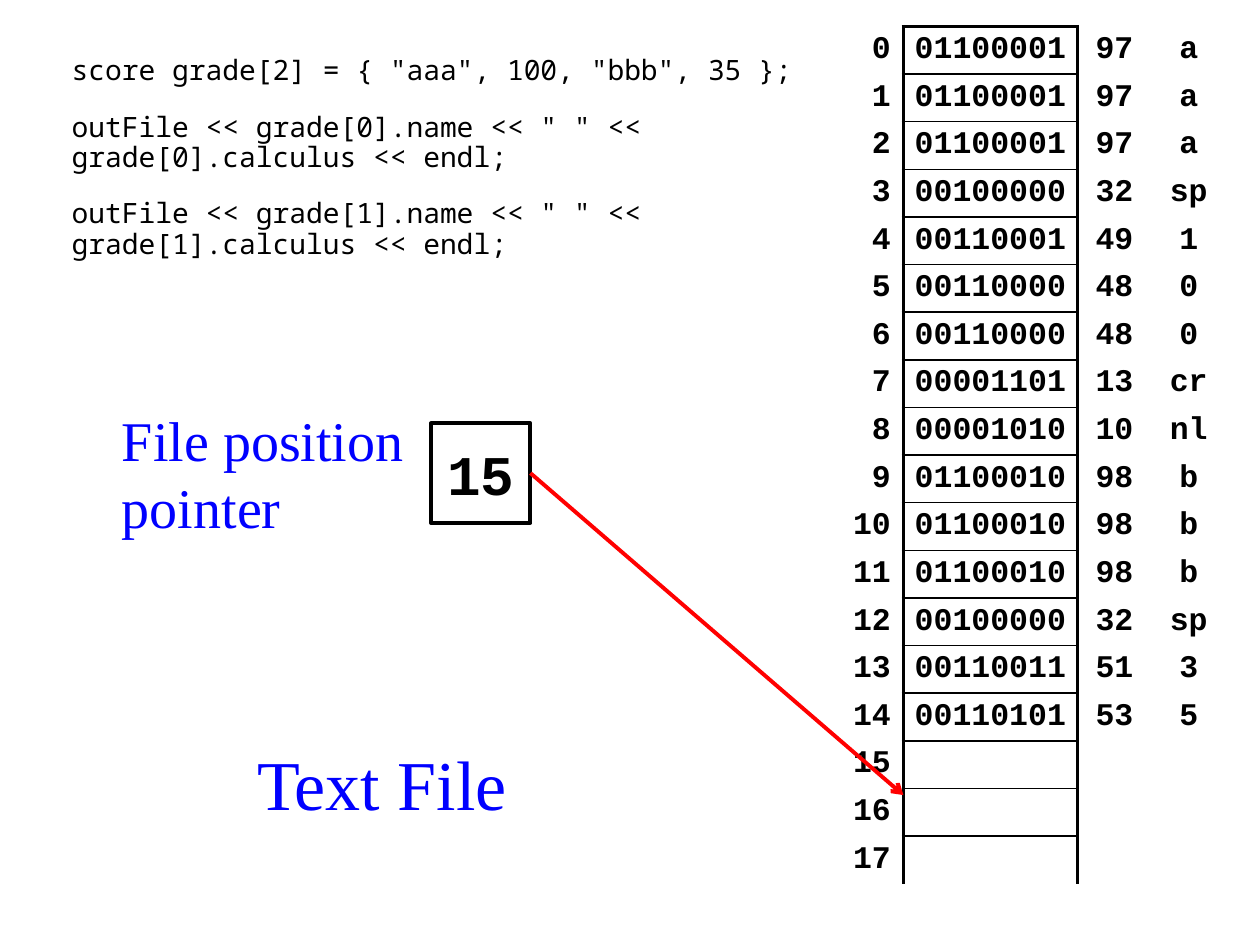
from lxml.etree import SubElement
from pptx import Presentation
from pptx.dml.color import RGBColor
from pptx.enum.shapes import MSO_CONNECTOR, MSO_SHAPE
from pptx.enum.text import MSO_ANCHOR, PP_ALIGN
from pptx.oxml.ns import qn
from pptx.util import Inches, Pt


class Theme:
    ink = RGBColor(0x00, 0x00, 0x00)
    accent = RGBColor(0x00, 0x00, 0xFF)
    arrow = RGBColor(0xFF, 0x00, 0x00)
    serif, mono, code = "Times New Roman", "Courier New", "Noto Sans Mono"
    title_size, label_size, cell_size, code_size = 40, 32, 18, 16
    thick, thin = 2.25, 1


# Content
TITLE = "Text File"
CODE = [
    'score grade[2] = { "aaa", 100, "bbb", 35 };',
    'outFile << grade[0].name << " " << grade[0].calculus << endl;',
    'outFile << grade[1].name << " " << grade[1].calculus << endl;',
]
POINTER_LABEL = ["File position", "pointer"]
POSITION = "15"
BYTES = [
    (97, "a"), (97, "a"), (97, "a"), (32, "sp"), (49, "1"),
    (48, "0"), (48, "0"), (13, "cr"), (10, "nl"), (98, "b"),
    (98, "b"), (98, "b"), (32, "sp"), (51, "3"), (53, "5"),
]
ROW_COUNT = 18
COL_WIDTHS = [0.59, 1.38, 0.59, 0.59]
TABLE_LEFT, TABLE_TOP, TABLE_HEIGHT = 6.58, 0.21, 6.81


def add_text(p, text, size, font, color, bold=False, align=PP_ALIGN.LEFT):
    p.alignment = align
    r = p.add_run()
    r.text = text
    r.font.size, r.font.name, r.font.bold = Pt(size), font, bold
    r.font.color.rgb = color


def paragraphs(tf, lines):
    """Yield each line with its paragraph, reusing the frame's first one."""
    for i, line in enumerate(lines):
        yield (tf.add_paragraph() if i else tf.paragraphs[0]), line


def set_borders(cell, widths):
    tc_pr = cell._tc.get_or_add_tcPr()
    for side in "LRTB":
        width = widths.get(side, 0)
        ln = SubElement(tc_pr, qn(f"a:ln{side}"), w=str(Pt(width)))
        if width:
            fill = SubElement(ln, qn("a:solidFill"))
            SubElement(fill, qn("a:srgbClr"), val=str(Theme.ink))
        else:
            SubElement(ln, qn("a:noFill"))


def cell_borders(row, col):
    if col == 0:
        return {"R": Theme.thick}
    if col == 2:
        return {"L": Theme.thick}
    if col == 3:
        return {}
    return {
        "L": Theme.thick,
        "R": Theme.thick,
        "T": Theme.thin if row else Theme.thick,
        "B": Theme.thin if row < ROW_COUNT - 1 else 0,
    }


def add_memory_table(slide):
    table = slide.shapes.add_table(
        ROW_COUNT, len(COL_WIDTHS), Inches(TABLE_LEFT), Inches(TABLE_TOP),
        Inches(sum(COL_WIDTHS)), Inches(TABLE_HEIGHT)).table
    table.first_row = table.horz_banding = False
    for column, width in zip(table.columns, COL_WIDTHS):
        column.width = Inches(width)
    for i, row in enumerate(table.rows):
        row.height = Inches(TABLE_HEIGHT / ROW_COUNT)
        values = [str(i)]
        if i < len(BYTES):
            number, char = BYTES[i]
            values += [f"{number:08b}", str(number), char]
        for j, cell in enumerate(row.cells):
            cell.vertical_anchor = MSO_ANCHOR.MIDDLE
            cell.margin_left = cell.margin_right = Inches(0.08 if j == 1 else 0.1)
            cell.margin_top = cell.margin_bottom = Inches(0.03)
            set_borders(cell, cell_borders(i, j))
            cell.fill.background()
            if j < len(values):
                add_text(cell.text_frame.paragraphs[0], values[j],
                         Theme.cell_size, Theme.mono, Theme.ink, True,
                         PP_ALIGN.CENTER if j else PP_ALIGN.RIGHT)


def main():
    prs = Presentation()
    prs.slide_width, prs.slide_height = Inches(10), Inches(7.5)
    slide = prs.slides.add_slide(prs.slide_layouts[5])

    # Title
    title = slide.shapes.title
    title.left, title.top = Inches(1.85), Inches(5.72)
    title.width, title.height = Inches(2.36), Inches(0.98)
    title.text_frame.vertical_anchor = MSO_ANCHOR.MIDDLE
    add_text(title.text_frame.paragraphs[0], TITLE, Theme.title_size,
             Theme.serif, Theme.accent, align=PP_ALIGN.CENTER)

    # File bytes
    add_memory_table(slide)

    # Code lines
    tf = slide.shapes.add_textbox(
        Inches(0.47), Inches(0.4), Inches(6.3), Inches(1.97)).text_frame
    tf.word_wrap = True
    for p, line in paragraphs(tf, CODE):
        add_text(p, line, Theme.code_size, Theme.code, Theme.ink)
        p.line_spacing = 0.9
        p.space_before = Pt(0 if line == CODE[0] else 15)

    # Position pointer: label and box
    tf = slide.shapes.add_textbox(
        Inches(0.87), Inches(3.16), Inches(2.56), Inches(1.18)).text_frame
    tf.word_wrap = False
    tf.vertical_anchor = MSO_ANCHOR.MIDDLE
    for p, line in paragraphs(tf, POINTER_LABEL):
        add_text(p, line, Theme.label_size, Theme.serif, Theme.accent)

    box = slide.shapes.add_shape(
        MSO_SHAPE.RECTANGLE, Inches(3.42), Inches(3.36), Inches(0.79), Inches(0.79))
    box.shadow.inherit = False
    box.fill.background()
    box.line.color.rgb, box.line.width = Theme.ink, Pt(Theme.thick)
    box.text_frame.word_wrap = False
    box.text_frame.vertical_anchor = MSO_ANCHOR.MIDDLE
    add_text(box.text_frame.paragraphs[0], POSITION, Theme.label_size,
             Theme.mono, Theme.ink, True, PP_ALIGN.CENTER)

    # Arrow from the box to the next free byte
    arrow = slide.shapes.add_connector(
        MSO_CONNECTOR.STRAIGHT, Inches(4.21), Inches(3.75), Inches(7.17), Inches(6.31))
    arrow.begin_connect(box, 3)
    arrow.line.color.rgb, arrow.line.width = Theme.arrow, Pt(Theme.thick)
    SubElement(arrow.line._get_or_add_ln(), qn("a:tailEnd"), type="arrow")
    SubElement(arrow._element.spPr, qn("a:effectLst"))

    prs.save("out.pptx")


if __name__ == "__main__":
    main()
